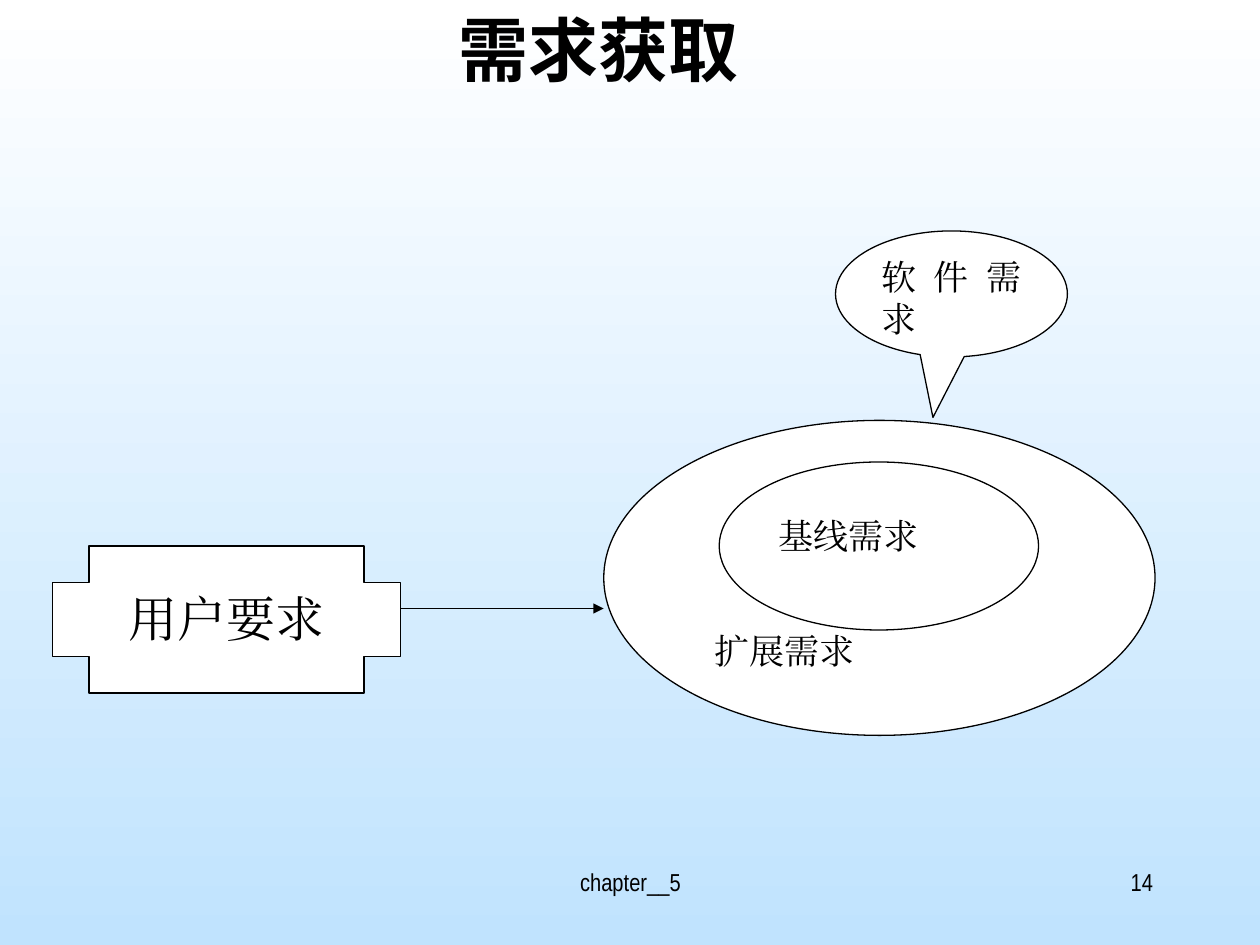
"""Builds the slide on gathering software requirements."""
from lxml.etree import SubElement
from pptx import Presentation
from pptx.dml.color import RGBColor
from pptx.enum.shapes import MSO_CONNECTOR, MSO_SHAPE
from pptx.enum.text import MSO_ANCHOR, MSO_AUTO_SIZE, PP_ALIGN
from pptx.oxml.ns import qn
from pptx.util import Pt

BLACK = RGBColor(0x00, 0x00, 0x00)
WHITE = RGBColor(0xFF, 0xFF, 0xFF)
SKY = RGBColor(0xC0, 0xE3, 0xFE)
SERIF = "Times New Roman"


def write(shape, text, size, face, align, bold=False):
    frame = shape.text_frame
    frame.text = text
    frame.word_wrap = True
    frame.auto_size = MSO_AUTO_SIZE.NONE
    frame.vertical_anchor = MSO_ANCHOR.TOP
    line = frame.paragraphs[0]
    line.alignment = align
    run = line.runs[0]
    run.font.size = Pt(size)
    run.font.bold = bold
    run.font.color.rgb = BLACK
    run.font.name = face
    SubElement(run._r.get_or_add_rPr(), qn("a:ea"), typeface=face)


def draw(kind, box, text, size, align, adjust=()):
    shape = slide.shapes.add_shape(kind, *map(Pt, box))
    shape.shadow.inherit = False
    shape.fill.solid()
    shape.fill.fore_color.rgb = WHITE
    shape.line.color.rgb = BLACK
    shape.line.width = Pt(0.75)
    for i, value in enumerate(adjust):
        shape.adjustments[i] = value
    write(shape, text, size, SERIF, align)
    return shape


deck = Presentation()
deck.slide_width, deck.slide_height = Pt(720), Pt(540)
slide = deck.slides.add_slide(deck.slide_layouts[5])

fill = slide.background.fill
fill.gradient()
fill.gradient_angle = 270
for stop, color, place in zip(fill.gradient_stops, (WHITE, SKY), (0, 1)):
    stop.color.rgb = color
    stop.position = place

title = slide.shapes.title
title.left, title.top, title.width, title.height = Pt(36), Pt(0), Pt(612), Pt(90)
write(title, "需求获取", 40, "Noto Sans CJK SC", PP_ALIGN.CENTER, True)

for left, width, text, align in (
    (246.25, 228, "chapter__5", PP_ALIGN.CENTER),
    (516, 150, "14", PP_ALIGN.RIGHT),
):
    note = slide.shapes.add_textbox(Pt(left), Pt(492), Pt(width), Pt(36))
    write(note, text, 14, "Arial Narrow", align)

draw(MSO_SHAPE.CROSS, (30, 312, 199, 84), "用户要求", 28, PP_ALIGN.CENTER, (0.25,))

arrow = slide.shapes.add_connector(
    MSO_CONNECTOR.STRAIGHT, Pt(229), Pt(347.75), Pt(345), Pt(347.75)
)
arrow.line.color.rgb = BLACK
arrow.line.width = Pt(0.75)
SubElement(arrow.line._get_or_add_ln(), qn("a:tailEnd"), type="triangle")
SubElement(arrow._element.spPr, qn("a:effectLst"))

outer = draw(MSO_SHAPE.OVAL, (345, 240.25, 315, 180), "扩展需求", 20, PP_ALIGN.JUSTIFY)
outer.text_frame.margin_top = Pt(93)
outer.text_frame.margin_left = Pt(17)

inner = draw(MSO_SHAPE.OVAL, (411, 264, 182.5, 96), "基线需求", 20, PP_ALIGN.JUSTIFY)
inner.text_frame.margin_top = Pt(16)

draw(
    MSO_SHAPE.OVAL_CALLOUT, (477.5, 132, 132.5, 72), "软件需求", 20,
    PP_ALIGN.JUSTIFY, (-0.08, 0.98),
)

deck.save("out.pptx")
